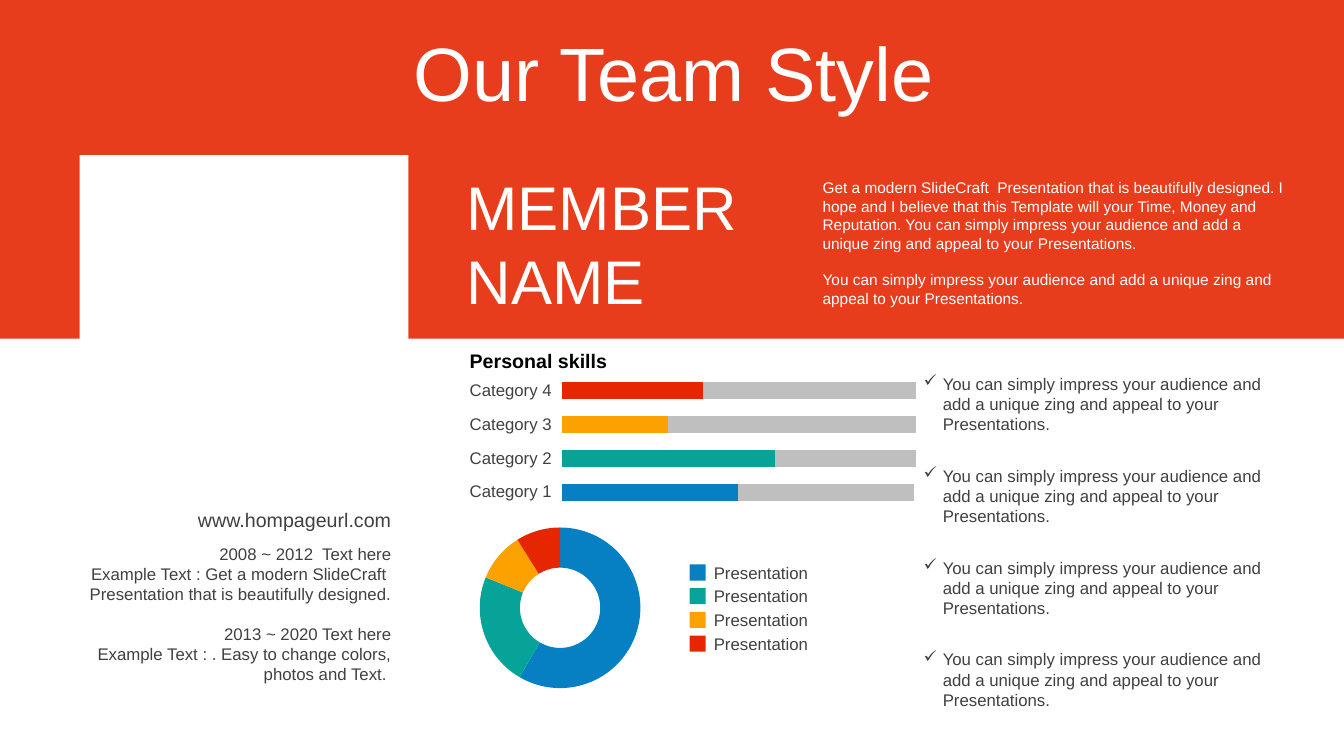
from lxml.etree import SubElement
from pptx import Presentation
from pptx.chart.data import CategoryChartData
from pptx.dml.color import RGBColor
from pptx.enum.chart import XL_CHART_TYPE, XL_TICK_MARK
from pptx.enum.shapes import MSO_SHAPE
from pptx.enum.text import MSO_ANCHOR, MSO_AUTO_SIZE, PP_ALIGN
from pptx.oxml import parse_xml
from pptx.oxml.ns import nsdecls, qn
from pptx.util import Inches, Pt

COLORS = {
    "red": "E62601", "blue": "0680C3", "teal": "07A398", "amber": "FBA200",
    "gray": "BFBFBF", "text": "404040", "white": "FFFFFF", "black": "000000",
}
SKILL_COLORS = ["blue", "teal", "amber", "red"]
IMPRESS = "You can simply impress your audience and add a unique zing and appeal to your Presentations."
INTRO = (
    "Get a modern SlideCraft  Presentation that is beautifully designed. "
    "I hope and I believe that this Template will your Time, Money and Reputation. "
    "You can simply impress your audience and add a unique zing and appeal to your Presentations."
)
CAREER = [
    "2008 ~ 2012  Text here",
    "Example Text : Get a modern SlideCraft  Presentation that is beautifully designed.",
    "2013 ~ 2020 Text here",
    "Example Text : . Easy to change colors, photos and Text. ",
]


class TeamSlide:
    font = "Arial"

    def __init__(self, prs):
        self.slide = prs.slides.add_slide(prs.slide_layouts[6])

    def color(self, name):
        return RGBColor.from_string(COLORS[name])

    def paint(self, fill, name):
        fill.solid()
        fill.fore_color.rgb = self.color(name)

    def style(self, font, size, color="text", bold=False):
        font.name = self.font
        font.size = Pt(size)
        font.bold = bold
        font.color.rgb = self.color(color)

    def rect(self, x, y, w, h, fill, alpha=None):
        sp = self.slide.shapes.add_shape(
            MSO_SHAPE.RECTANGLE, Inches(x), Inches(y), Inches(w), Inches(h))
        sp.shadow.inherit = False
        self.paint(sp.fill, fill)
        sp.line.fill.background()
        if alpha:
            clr = sp.fill._xPr.find(".//" + qn("a:srgbClr"))
            SubElement(clr, qn("a:alpha"), val=str(alpha * 1000))
        return sp

    def text(self, x, y, w, h, lines, size, color="text", bold=False, align=PP_ALIGN.LEFT,
             anchor=MSO_ANCHOR.TOP, inset=0.1, grow=True, spacing=None, gaps=None, bullet=None):
        sp = self.slide.shapes.add_textbox(Inches(x), Inches(y), Inches(w), Inches(h))
        tf = sp.text_frame
        tf.word_wrap = True
        tf.auto_size = MSO_AUTO_SIZE.SHAPE_TO_FIT_TEXT if grow else MSO_AUTO_SIZE.NONE
        tf.vertical_anchor = anchor
        tf.margin_left = tf.margin_right = Inches(inset)
        tf.margin_top = tf.margin_bottom = Inches(0.05)
        for i, line in enumerate(lines):
            p = tf.paragraphs[0] if i == 0 else tf.add_paragraph()
            p.alignment = align
            if spacing:
                p.line_spacing = spacing
            if gaps and i in gaps:
                p.space_before = Pt(gaps[i])
            if bullet:
                pPr = p._p.get_or_add_pPr()
                pPr.set("marL", str(Inches(0.19)))
                pPr.set("indent", str(-Inches(0.19)))
                SubElement(pPr, qn("a:buChar"), char=bullet)
            r = p.add_run()
            r.text = line
            self.style(r.font, size, color, bold)
        return sp

    def chart(self, kind, x, y, w, h, cats, series, layout):
        data = CategoryChartData()
        data.categories = cats
        for name, values in series:
            data.add_series(name, values)
        chart = self.slide.shapes.add_chart(
            kind, Inches(x), Inches(y), Inches(w), Inches(h), data).chart
        chart.has_legend = False
        chart.has_title = False
        self.style(chart.font, 18, "black")
        plot_area = chart._chartSpace.chart.plotArea
        for old in plot_area.findall(qn("c:layout")):
            plot_area.remove(old)
        sizes = "".join(f'<c:{k} val="{v}"/>' for k, v in zip("xywh", layout))
        plot_area.insert(0, parse_xml(
            f'<c:layout {nsdecls("c")}><c:manualLayout><c:layoutTarget val="inner"/>'
            f'<c:xMode val="edge"/><c:yMode val="edge"/>{sizes}</c:manualLayout></c:layout>'))
        for i, name in enumerate(SKILL_COLORS):
            self.paint(chart.plots[0].series[0].points[i].format.fill, name)
        return chart

    def skill_bars(self, x, y, w, h):
        cats = [f"Category {i}" for i in range(1, 5)]
        series = [("Series 1", (71, 86, 43, 57)), ("Series 2", (71, 57, 100, 86))]
        chart = self.chart(XL_CHART_TYPE.BAR_STACKED, x, y, w, h, cats, series,
                           (0.19, 0.02, 0.66, 0.96))
        plot = chart.plots[0]
        plot.vary_by_categories = False
        plot.gap_width = 100
        plot.overlap = 100
        self.paint(plot.series[0].format.fill, "red")
        self.paint(plot.series[1].format.fill, "gray")
        axis = chart.category_axis
        axis.major_tick_mark = XL_TICK_MARK.OUTSIDE
        axis.format.line.fill.background()
        self.style(axis.tick_labels.font, 12)
        values = chart.value_axis
        values.minimum_scale = 0
        values.maximum_scale = 143
        values.has_major_gridlines = False
        values.visible = False

    def skill_ring(self, x, y, w, h):
        self.chart(XL_CHART_TYPE.DOUGHNUT, x, y, w, h, ["1", "2", "3", "4"],
                   [("Series 1", (59, 23, 10, 9))], (0.12, 0.07, 0.77, 0.85))

    def legend(self, x, y, pitch):
        for i, name in enumerate(SKILL_COLORS):
            top = y + i * pitch
            self.rect(x, top + 0.07, 0.16, 0.16, name)
            self.text(x + 0.24, top, 1.14, 0.3, ["Presentation"], 12, inset=0)


def main():
    prs = Presentation()
    prs.slide_width = Inches(13.33)
    prs.slide_height = Inches(7.5)
    s = TeamSlide(prs)
    s.rect(0, 0, 13.33, 3.36, "red", alpha=89)
    s.rect(0.79, 1.54, 3.26, 3.65, "white")
    s.text(0.35, 0.37, 12.66, 0.79, ["Our Team Style"], 54, "white", align=PP_ALIGN.CENTER,
           anchor=MSO_ANCHOR.MIDDLE, grow=False, spacing=0.9)
    s.text(4.53, 1.63, 3.33, 1.58, ["MEMBER", "NAME"], 44, "white")
    s.text(8.06, 1.72, 4.78, 1.4, [INTRO, IMPRESS], 11, "white", gaps={1: 13})
    s.text(1.65, 4.99, 2.33, 0.34, ["www.hompageurl.com"], 14, align=PP_ALIGN.RIGHT,
           anchor=MSO_ANCHOR.MIDDLE)
    s.text(4.56, 3.41, 3.43, 0.34, ["Personal skills"], 14, "black", bold=True)
    s.skill_bars(4.56, 3.68, 5.33, 1.4)
    s.text(0.79, 5.34, 3.19, 1.72, CAREER, 12, align=PP_ALIGN.RIGHT, gaps={2: 14})
    s.skill_ring(4.51, 5.1, 2.07, 1.88)
    s.legend(6.84, 5.53, 0.235)
    for i in range(4):
        s.text(9.04, 3.66 + i * 0.91, 3.81, 0.71, [IMPRESS], 12, inset=0.12, bullet="✓")
    prs.save("out.pptx")


if __name__ == "__main__":
    main()
